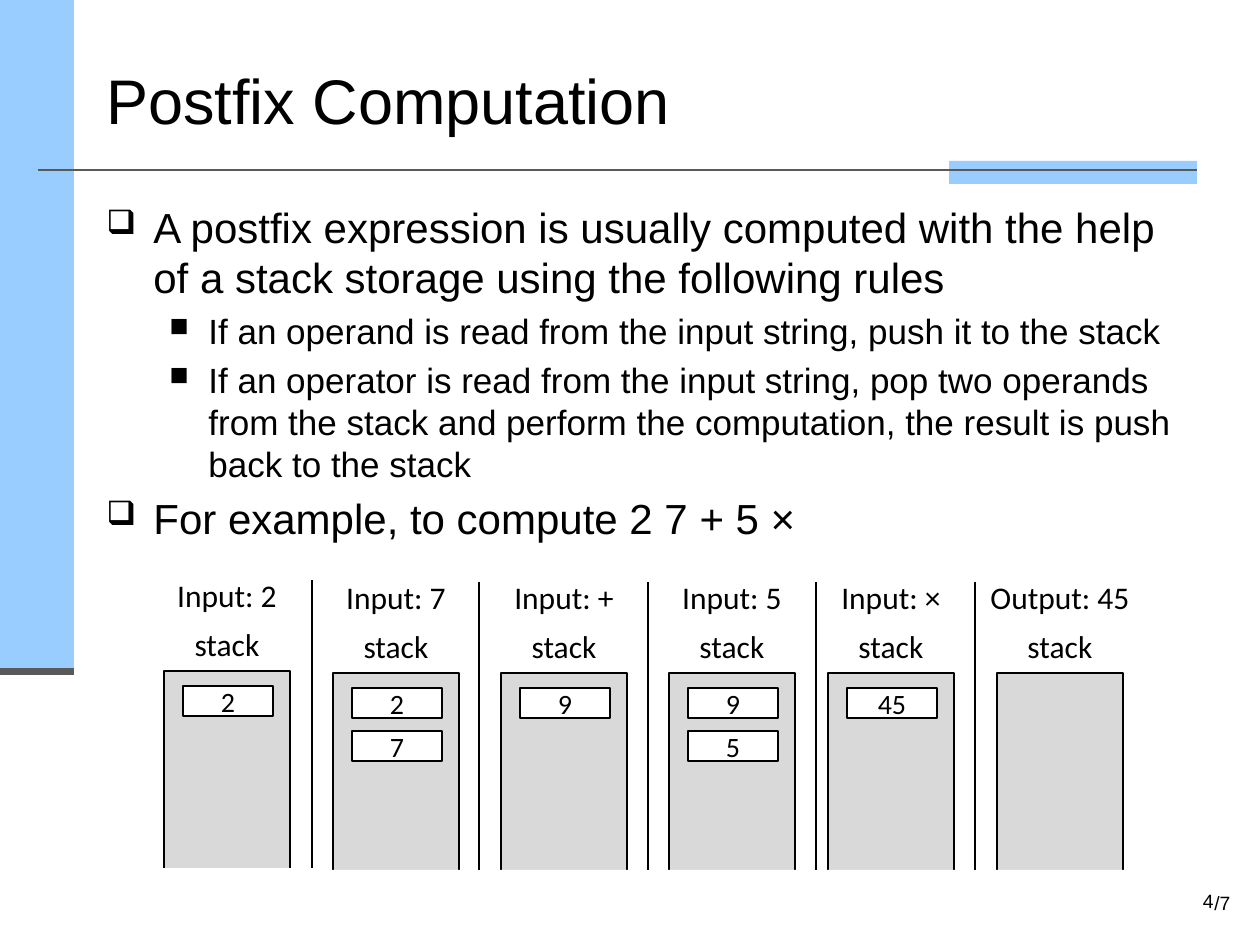
from lxml import etree
from pptx import Presentation, util as u
from pptx.dml.color import RGBColor
from pptx.enum import shapes, text
from pptx.oxml.ns import qn

# Content
TITLE = "Postfix Computation"
POINTS = [
    (0, "A postfix expression is usually computed with the help of a stack "
        "storage using the following rules"),
    (1, "If an operand is read from the input string, push it to the stack"),
    (1, "If an operator is read from the input string, pop two operands from "
        "the stack and perform the computation, the result is push back to "
        "the stack"),
    (0, "For example, to compute 2 7 + 5 ×"),
]
# level: size, margin px, hang px, bullet, bullet percent
LEVELS = [(24, 47, 47, "❑", 80), (20, 102, 39, "■", 75)]
# left px, top shift px, caption, values on the stack
STEPS = [
    (164, -2, "Input: 2", ["2"]),
    (333, 0, "Input: 7", ["2", "7"]),
    (501, 0, "Input: +", ["9"]),
    (669, 0, "Input: 5", ["9", "5"]),
    (828, 0, "Input: ×", ["45"]),
    (997, 0, "Output: 45", []),
]
RULES = [(312, -2), (479, 0), (648, 0), (816, 0), (975, 0)]

BLUE = RGBColor(0x99, 0xCC, 0xFF)
DARK = RGBColor(0x59, 0x59, 0x59)
GREY = RGBColor(0xD9, 0xD9, 0xD9)
BLACK = RGBColor(0, 0, 0)
WHITE = RGBColor(255, 255, 255)
LEFT, MID, RIGHT = (text.PP_ALIGN.LEFT, text.PP_ALIGN.CENTER,
                    text.PP_ALIGN.RIGHT)


def px(n):
    return u.Emu(round(n * 914400 / 126))


deck = Presentation()
deck.slide_width, deck.slide_height = px(1260), px(945)
slide = deck.slides.add_slide(deck.slide_layouts[6])


def write(para, words, size=18, font="Calibri", align=LEFT):
    para.alignment = align
    run = para.add_run()
    run.text = words
    run.font.size, run.font.name = u.Pt(size), font
    run.font.color.rgb = BLACK


def label(x, y, w, h, words, wrap=False, mid=False, **form):
    frame = slide.shapes.add_textbox(px(x), px(y), px(w), px(h)).text_frame
    frame.word_wrap = wrap
    if mid:
        frame.vertical_anchor = text.MSO_ANCHOR.MIDDLE
    write(frame.paragraphs[0], words, **form)


def box(x, y, w, h, fill, line=None):
    rect = slide.shapes.add_shape(shapes.MSO_SHAPE.RECTANGLE,
                                  px(x), px(y), px(w), px(h))
    rect.shadow.inherit = False
    rect.fill.solid()
    rect.fill.fore_color.rgb = fill
    if line is None:
        rect.line.fill.background()
    else:
        rect.line.color.rgb, rect.line.width = line, u.Pt(0.75)
    return rect


def rule(x1, y1, x2, y2, color=BLACK, width=0.75):
    line = slide.shapes.add_connector(shapes.MSO_CONNECTOR.STRAIGHT,
                                      px(x1), px(y1), px(x2), px(y2))
    line.line.color.rgb, line.line.width = color, u.Pt(width)
    etree.SubElement(line._element.spPr, qn("a:effectLst"))


def bullet(para, level):
    size, margin, hang, mark, scale = LEVELS[level]
    para.level = level
    para.space_before = u.Pt(size * 0.2)
    props = para._p.get_or_add_pPr()
    props.set("marL", str(px(margin)))
    props.set("indent", str(-px(hang)))
    etree.SubElement(props, qn("a:buSzPct"), val=str(scale * 1000))
    etree.SubElement(props, qn("a:buChar"), char=mark)
    return size


# Frame of the page
box(949, 161, 248, 23, BLUE)
box(0, 0, 74, 672, BLUE)
rule(0, 672, 74, 672, DARK, 4)
rule(38, 170, 1197, 170, DARK, 1.5)
label(1202, 885, 42, 36, "/7", size=11, font="Arial")
label(903, 876, 323, 50, "4", wrap=True, mid=True, size=11, font="Arial",
      align=RIGHT)

# Title and bullet points
label(94, 38, 1103, 123, TITLE, wrap=True, mid=True, size=36, font="Arial")
body = slide.shapes.add_textbox(px(94), px(195), px(1103),
                                px(649)).text_frame
body.word_wrap = True
for i, (level, words) in enumerate(POINTS):
    para = body.add_paragraph() if i else body.paragraphs[0]
    write(para, words, size=bullet(para, level), font="Arial")

# Stacks, open at the bottom
for x, shift, caption, values in STEPS:
    y = 673 + shift
    box(x, y, 126, 198, GREY, BLACK)
    box(x - 10, y + 197, 149, 20, WHITE)
    label(x - 22, y - 101, 170, 50, caption, align=MID)
    label(x, y - 52, 126, 50, "stack", align=MID)
    for i, value in enumerate(values):
        cell = box(x + 19, y + 15 + 43 * i, 90, 30, WHITE, BLACK)
        cell.text_frame.vertical_anchor = text.MSO_ANCHOR.MIDDLE
        write(cell.text_frame.paragraphs[0], value, size=16, align=MID)

# Dividers
for x, shift in RULES:
    rule(x, 582 + shift, x, 870 + shift)

deck.save("out.pptx")
